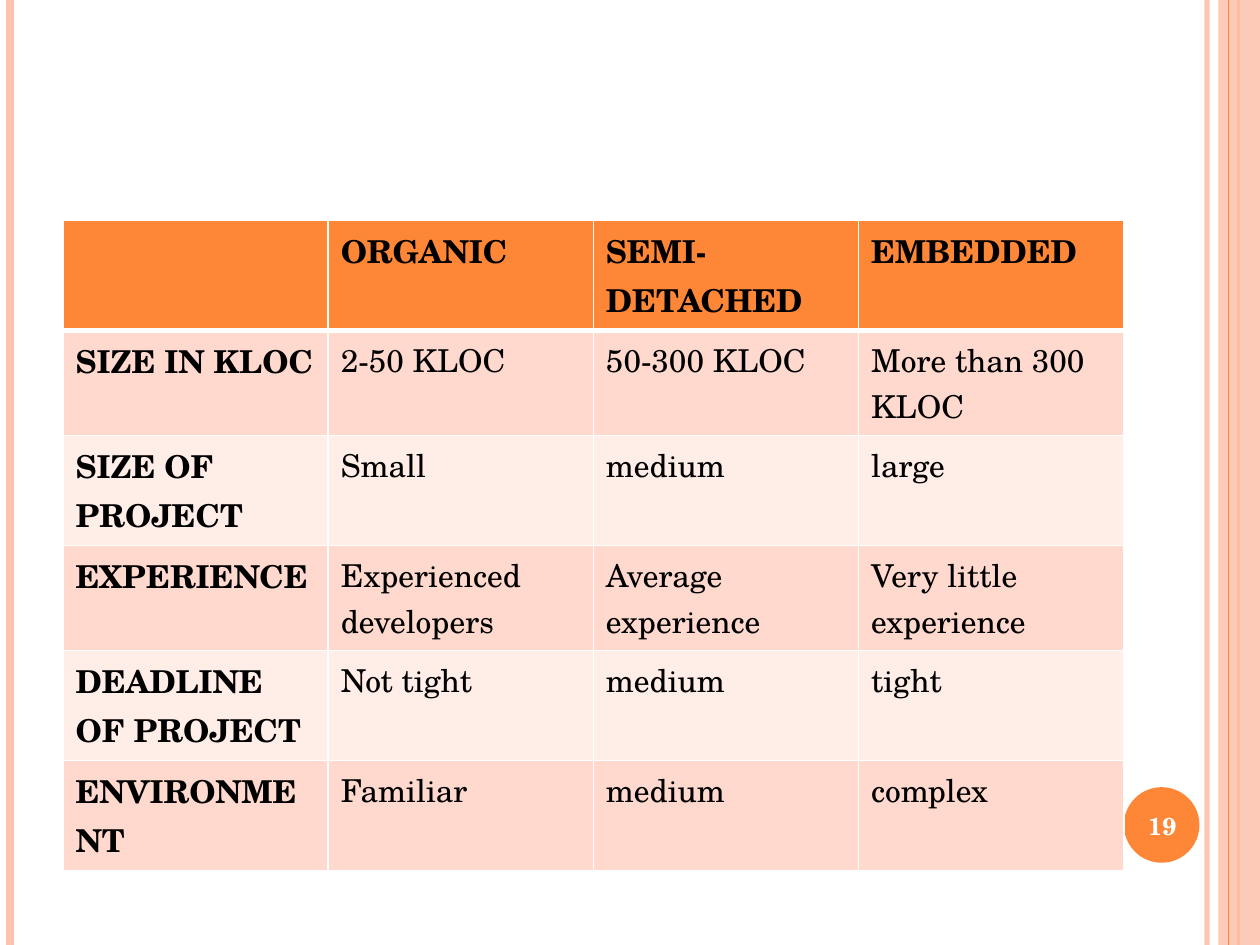
from dataclasses import dataclass

from pptx import Presentation
from pptx import util as u
from pptx.dml.color import RGBColor
from pptx.enum import shapes, text
from pptx.oxml import parse_xml
from pptx.oxml.ns import nsdecls, qn


@dataclass(frozen=True)
class Theme:
    font: str = "TeX Gyre Schola"
    accent: str = "FE8637"
    stripe: str = "FEC3AE"
    bands: tuple = ("FFD9CE", "FFEDE8")
    ink: str = "000000"
    paper: str = "FFFFFF"
    table_size: int = 18
    number_size: int = 14
    rule: int = 1
    header_rule: int = 3


THEME = Theme()
SLIDE_W, SLIDE_H = u.Inches(10), u.Inches(7.5)

MODES = [
    ["", "ORGANIC", "SEMI-DETACHED", "EMBEDDED"],
    ["SIZE IN KLOC", "2-50 KLOC", "50-300 KLOC", "More than 300 KLOC"],
    ["SIZE OF PROJECT", "Small", "medium", "large"],
    ["EXPERIENCE", "Experienced developers", "Average experience", "Very little experience"],
    ["DEADLINE OF PROJECT", "Not tight", "medium", "tight"],
    ["ENVIRONMENT", "Familiar", "medium", "complex"],
]


def share(x, y, w, h):
    """Turn shares of the slide into a box of lengths."""
    return int(x * SLIDE_W), int(y * SLIDE_H), int(w * SLIDE_W), int(h * SLIDE_H)


def set_alpha(owner, percent):
    for color in owner.iter(qn("a:srgbClr")):
        color.append(parse_xml(f'<a:alpha {nsdecls("a")} val="{percent * 1000}"/>'))


def style_font(paragraph, size, color, bold):
    font = paragraph.font
    font.name, font.size, font.bold = THEME.font, u.Pt(size), bold
    font.color.rgb = RGBColor.from_string(color)


def add_stripe(slide, box, at, color, width, alpha=100):
    """Vertical line at a share of the box's width."""
    left, top, w, h = box
    x = left + int(at * w)
    stripe = slide.shapes.add_connector(shapes.MSO_CONNECTOR.STRAIGHT, x, top, x, top + h)
    stripe.line.color.rgb = RGBColor.from_string(color)
    stripe.line.width = u.Pt(width)
    properties = stripe._element.spPr
    properties.append(parse_xml(f'<a:effectLst {nsdecls("a")}/>'))
    if alpha < 100:
        set_alpha(properties, alpha)


def add_solid(slide, kind, box, color):
    solid = slide.shapes.add_shape(kind, *box)
    solid.shadow.inherit = False
    solid.fill.solid()
    solid.fill.fore_color.rgb = RGBColor.from_string(color)
    solid.line.fill.background()
    return solid


def add_frame(slide, box):
    left, top, w, h = box
    add_stripe(slide, box, 0.958, THEME.stripe, 3, alpha=93)
    add_stripe(slide, box, 0.008, THEME.stripe, 4.5)
    add_stripe(slide, box, 0.983, THEME.accent, 1.5)
    band_w = int(0.033 * w)
    band = add_solid(slide, shapes.MSO_SHAPE.RECTANGLE, (left + w - band_w, top, band_w, h), THEME.stripe)
    set_alpha(band._element.spPr, 87)
    add_stripe(slide, box, 0.975, THEME.accent, 0.75)


def set_borders(cell, widths):
    properties = cell._tc.get_or_add_tcPr()
    for side, width in zip("LRTB", widths):
        properties.append(parse_xml(
            f'<a:ln{side} {nsdecls("a")} w="{u.Pt(width)}"><a:solidFill>'
            f'<a:srgbClr val="{THEME.paper}"/></a:solidFill></a:ln{side}>'))


def add_modes_table(slide, box):
    left, top, w, h = box
    rows, cols = len(MODES), len(MODES[0])
    table = slide.shapes.add_table(rows, cols, left, top, w, h).table
    for column in table.columns:
        column.width = w // cols
    for row in table.rows:
        row.height = h // rows
    for r, labels in enumerate(MODES):
        # Heavy rule between the header and the first row
        above = THEME.header_rule if r == 1 else THEME.rule
        below = THEME.header_rule if r == 0 else THEME.rule
        fill = THEME.bands[(r - 1) % 2] if r else THEME.accent
        for c, label in enumerate(labels):
            cell = table.cell(r, c)
            set_borders(cell, (THEME.rule, THEME.rule, above, below))
            cell.fill.solid()
            cell.fill.fore_color.rgb = RGBColor.from_string(fill)
            cell.text = label
            style_font(cell.text_frame.paragraphs[0], THEME.table_size, THEME.ink, r == 0 or c == 0)


def add_page_number(slide, box, number):
    label = slide.shapes.add_textbox(*box)
    frame = label.text_frame
    frame.word_wrap = True
    frame.vertical_anchor = text.MSO_ANCHOR.MIDDLE
    paragraph = frame.paragraphs[0]
    paragraph.text = number
    paragraph.alignment = text.PP_ALIGN.CENTER
    style_font(paragraph, THEME.number_size, THEME.paper, True)


def main():
    deck = Presentation()
    deck.slide_width, deck.slide_height = SLIDE_W, SLIDE_H
    slide = deck.slides.add_slide(deck.slide_layouts[6])

    # Edge stripes and page badge
    add_frame(slide, share(0, 0, 1, 1))
    add_solid(slide, shapes.MSO_SHAPE.OVAL, share(0.892, 0.833, 0.06, 0.08), THEME.accent)

    # Comparison of project modes
    add_modes_table(slide, share(0.05, 0.233, 0.842, 0.61))
    add_page_number(slide, share(0.889, 0.836, 0.067, 0.076), "19")

    deck.save("out.pptx")


if __name__ == "__main__":
    main()
